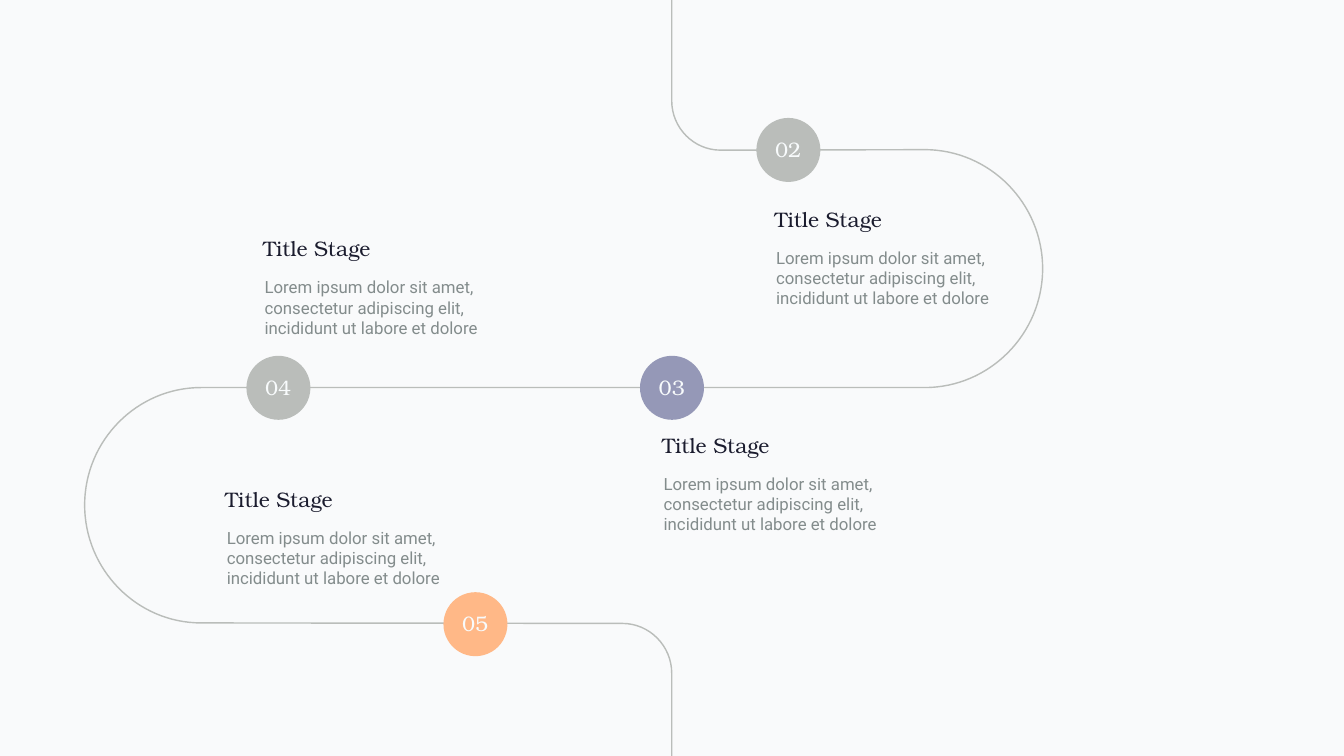
from lxml import etree
from pptx import Presentation
from pptx import util as u
from pptx.dml.color import RGBColor
from pptx.enum import shapes, text
from pptx.oxml.ns import qn

BACKGROUND = RGBColor(0xF9, 0xFA, 0xFB)
INK = RGBColor(0x1B, 0x1C, 0x2E)
BODY_GREY = RGBColor(0x83, 0x8C, 0x8C)
NUMBER_WHITE = RGBColor(0xF8, 0xFB, 0xFC)
STONE = RGBColor(0xBA, 0xBD, 0xBA)
LAVENDER = RGBColor(0x95, 0x98, 0xB7)
PEACH = RGBColor(0xFF, 0xB8, 0x87)

SERIF = "TeX Gyre Bonum"
SANS = "Roboto"
SLIDE_WIDTH, SLIDE_HEIGHT = 26.67, 15
MARKER_SIZE = 1.27
ROUNDNESS = 0.55
STAGE_TITLE = "Title Stage"
STAGE_BODY = ("Lorem ipsum dolor sit amet, consectetur adipiscing elit, "
              "incididunt ut labore et dolore")

STAGES = [
    ("02", STONE, (15.01, 2.34), (15.31, 4.03)),
    ("03", LAVENDER, (12.7, 7.06), (13.08, 8.52)),
    ("04", STONE, (4.89, 7.06), (5.16, 4.62)),
    ("05", PEACH, (8.8, 11.75), (4.41, 9.59)),
]

ROUTE_START = (13.33, -0.04)
ROUTE = [
    ("straight", (13.33, 2)),
    ("vertical bend", (14.3, 2.98)),
    ("straight", (18.35, 2.97)),
    ("horizontal bend", (20.69, 5.33)),
    ("vertical bend", (18.35, 7.69)),
    ("straight", (3.99, 7.69)),
    ("horizontal bend", (1.68, 10.02)),
    ("vertical bend", (3.99, 12.36)),
    ("straight", (12.35, 12.37)),
    ("horizontal bend", (13.33, 13.36)),
    ("straight", (13.33, 15.06)),
]


def add_text(container, left, top, width, height, words, size, family, colour):
    box = container.shapes.add_textbox(
        u.Inches(left), u.Inches(top), u.Inches(width), u.Inches(height))
    frame = box.text_frame
    frame.word_wrap = True
    frame.auto_size = text.MSO_AUTO_SIZE.SHAPE_TO_FIT_TEXT
    frame.margin_left = frame.margin_right = u.Inches(0.06)
    frame.margin_top = frame.margin_bottom = u.Inches(0.06)
    paragraph = frame.paragraphs[0]
    paragraph.text = words
    paragraph.font.size = u.Pt(size)
    paragraph.font.name = family
    paragraph.font.color.rgb = colour
    return paragraph


def toward(point, corner):
    return tuple(a + ROUNDNESS * (b - a) for a, b in zip(point, corner))


def leg_points(kind, start, end):
    if kind == "straight":
        return [end]
    corner = (start[0], end[1]) if kind == "vertical bend" else (end[0], start[1])
    return [toward(start, corner), toward(end, corner), end]


def add_route(slide):
    legs = []
    here = ROUTE_START
    for kind, end in ROUTE:
        legs.append(leg_points(kind, here, end))
        here = end
    builder = slide.shapes.build_freeform(*map(u.Inches, ROUTE_START))
    builder.add_line_segments(
        [tuple(map(u.Inches, point)) for leg in legs for point in leg], close=False)
    road = builder.convert_to_shape()
    road.shadow.inherit = False
    road.fill.background()
    road.line.color.rgb = STONE
    road.line.width = u.Pt(2)

    segments = iter(road._element.xpath(".//a:lnTo"))
    for leg in legs:
        parts = [next(segments) for _ in leg]
        if len(parts) == 3:
            bend = etree.Element(qn("a:cubicBezTo"))
            parts[0].addprevious(bend)
            for part in parts:
                bend.append(part[0])
                part.getparent().remove(part)


def add_marker(slide, left, top, number, colour):
    marker = slide.shapes.add_group_shape()
    disc = marker.shapes.add_shape(
        shapes.MSO_SHAPE.OVAL, u.Inches(left), u.Inches(top),
        u.Inches(MARKER_SIZE), u.Inches(MARKER_SIZE))
    disc.shadow.inherit = False
    disc.fill.solid()
    disc.fill.fore_color.rgb = colour
    disc.line.fill.background()
    label = add_text(marker, left + 0.17, top + 0.31, 0.92, 0.62,
                     number, 30, SERIF, NUMBER_WHITE)
    label.alignment = text.PP_ALIGN.CENTER


def add_stage(slide, left, top):
    add_text(slide, left, top, 2.74, 0.62, STAGE_TITLE, 30, SERIF, INK)
    add_text(slide, left + 0.03, top + 0.82, 4.63, 1.32,
             STAGE_BODY, 24, SANS, BODY_GREY)


def main():
    deck = Presentation()
    deck.slide_width = u.Inches(SLIDE_WIDTH)
    deck.slide_height = u.Inches(SLIDE_HEIGHT)
    slide = deck.slides.add_slide(deck.slide_layouts[6])
    slide.background.fill.solid()
    slide.background.fill.fore_color.rgb = BACKGROUND

    add_route(slide)
    for number, colour, marker_at, stage_at in STAGES:
        add_marker(slide, *marker_at, number, colour)
        add_stage(slide, *stage_at)
    deck.save("out.pptx")


if __name__ == "__main__":
    main()
